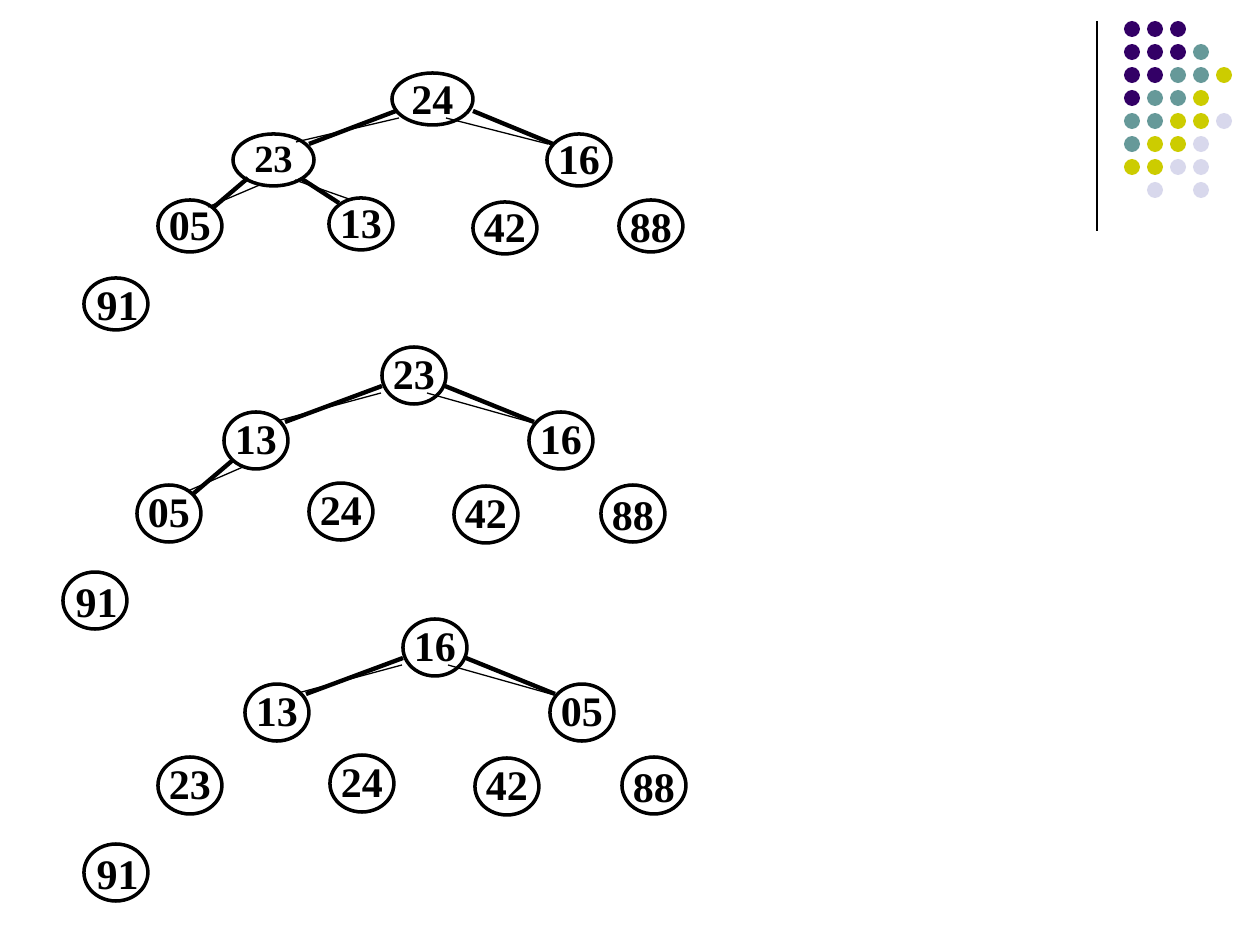
from lxml import etree
from pptx import Presentation
from pptx import util as u
from pptx.dml.color import RGBColor
from pptx.enum import shapes, text
from pptx.oxml.ns import qn

PX = 914400 / 126
BLACK = RGBColor(0x00, 0x00, 0x00)
PURPLE = RGBColor(0x33, 0x00, 0x66)
TEAL = RGBColor(0x66, 0x99, 0x99)
OLIVE = RGBColor(0xCC, 0xCC, 0x00)
LAVENDER = RGBColor(0xD8, 0xD8, 0xEC)

DOT_COLORS = {"P": PURPLE, "T": TEAL, "O": OLIVE, "L": LAVENDER}
DOT_ROWS = ["PPP", "PPPT", "PPTTO", "PTTO", "TTOOL", "TOOL", "OOLL", " L L"]

TALL_SPOTS = [(382, 347), (224, 412), (529, 412), (137, 485),
              (309, 483), (454, 486), (601, 485), (63, 572)]
TALL_THIN = [(381, 393, 277, 421), (427, 393, 530, 422), (243, 467, 188, 491)]
TALL_THICK = [(382, 386, 285, 422), (445, 386, 534, 422), (233, 460, 193, 494)]


def px(n):
    return u.Emu(round(n * PX))


def write(tf, label, size=24, align=text.PP_ALIGN.CENTER, top=0, bottom=5, spacing=None):
    tf.word_wrap = True
    tf.vertical_anchor = text.MSO_ANCHOR.MIDDLE
    tf.margin_left = tf.margin_right = 0
    tf.margin_top, tf.margin_bottom = px(top), px(bottom)
    p = tf.paragraphs[0]
    p.alignment = align
    if spacing:
        p.line_spacing = u.Pt(spacing)
    r = p.add_run()
    r.text = label
    r.font.name = "Times New Roman"
    r.font.size = u.Pt(size)
    r.font.bold = True
    r.font.color.rgb = BLACK


class Board:
    def __init__(self, slide):
        self.slide = slide
        self.shapes = slide.shapes
        self.outline = u.Pt(2)
        self.thin = u.Pt(0.75)
        self.thick = u.Pt(2.5)

    def start_group(self):
        self.shapes = self.slide.shapes.add_group_shape().shapes

    def ellipse(self, x, y, w, h):
        sp = self.shapes.add_shape(shapes.MSO_SHAPE.OVAL, px(x), px(y), px(w), px(h))
        sp.shadow.inherit = False
        return sp

    def dot(self, x, y, color):
        sp = self.ellipse(x, y, 16, 16)
        sp.fill.solid()
        sp.fill.fore_color.rgb = color
        sp.line.fill.background()

    def node(self, x, y, w, h, label, **fmt):
        sp = self.ellipse(x, y, w, h)
        sp.fill.background()
        sp.line.color.rgb = BLACK
        sp.line.width = self.outline
        write(sp.text_frame, label, **fmt)

    def line(self, x1, y1, x2, y2, width):
        cx = self.shapes.add_connector(
            shapes.MSO_CONNECTOR.STRAIGHT, px(x1), px(y1), px(x2), px(y2))
        cx.line.color.rgb = BLACK
        cx.line.width = width
        etree.SubElement(cx._element.spPr, qn("a:effectLst"))

    def tree(self, nodes, thin, thick, dx=0, dy=0):
        self.start_group()
        for x1, y1, x2, y2 in thin:
            self.line(x1 + dx, y1 + dy, x2 + dx, y2 + dy, self.thin)
        for x, y, w, h, label, fmt in nodes:
            self.node(x + dx, y + dy, w, h, label, **fmt)
        for x1, y1, x2, y2 in thick:
            self.line(x1 + dx, y1 + dy, x2 + dx, y2 + dy, self.thick)


def node_format(label):
    if label == "91":
        return dict(align=text.PP_ALIGN.RIGHT, bottom=0)
    if label == "88":
        return dict(bottom=0)
    return {}


def make_nodes(labels, spots, height):
    return [(x, y, 64, height, label, node_format(label))
            for label, (x, y) in zip(labels, spots)]


def main():
    prs = Presentation()
    prs.slide_width, prs.slide_height = px(1260), px(945)
    board = Board(prs.slides.add_slide(prs.slide_layouts[6]))

    board.line(1097, 21, 1097, 231, board.thin)
    board.start_group()
    for row, codes in enumerate(DOT_ROWS):
        for col, code in enumerate(codes):
            if code in DOT_COLORS:
                board.dot(1124 + 23 * col, 21 + 23 * row, DOT_COLORS[code])

    wide = [(392, 73, 81, 52, "24", dict(top=5, bottom=0, spacing=24)),
            (233, 134, 81, 52, "23", dict(size=22))]
    small_spots = [(547, 134), (158, 200), (329, 198), (473, 202), (619, 200), (84, 278)]
    board.tree(
        wide + make_nodes(["16", "05", "13", "42", "88", "91"], small_spots, 52),
        [(399, 118, 296, 142), (446, 118, 548, 144),
         (262, 184, 208, 207), (295, 180, 349, 199)],
        [(396, 111, 309, 144), (473, 111, 553, 144),
         (248, 178, 214, 207), (302, 179, 339, 203)])

    board.tree(
        make_nodes(["23", "13", "16", "05", "24", "42", "88", "91"], TALL_SPOTS, 57),
        TALL_THIN, TALL_THICK)
    board.tree(
        make_nodes(["16", "13", "05", "23", "24", "42", "88", "91"], TALL_SPOTS, 57),
        TALL_THIN[:2], TALL_THICK[:2], dx=21, dy=272)

    prs.save("out.pptx")


if __name__ == "__main__":
    main()
